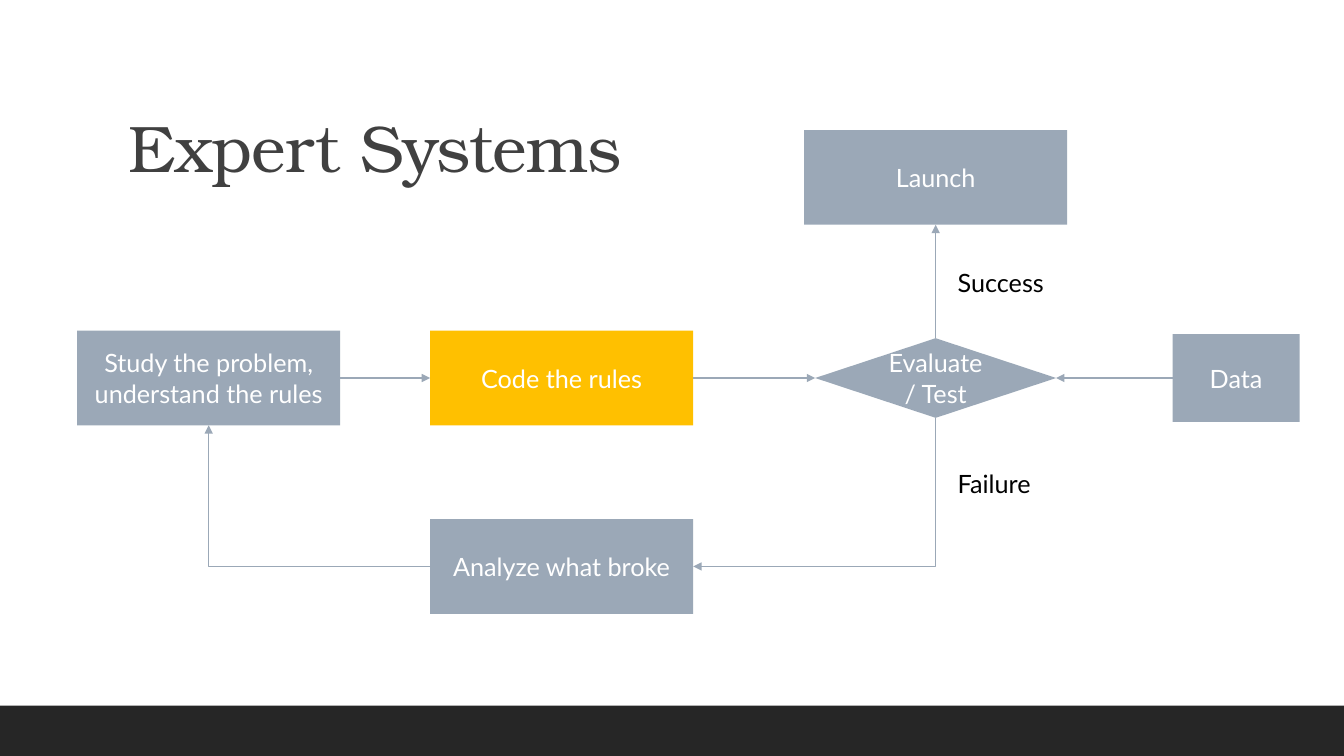
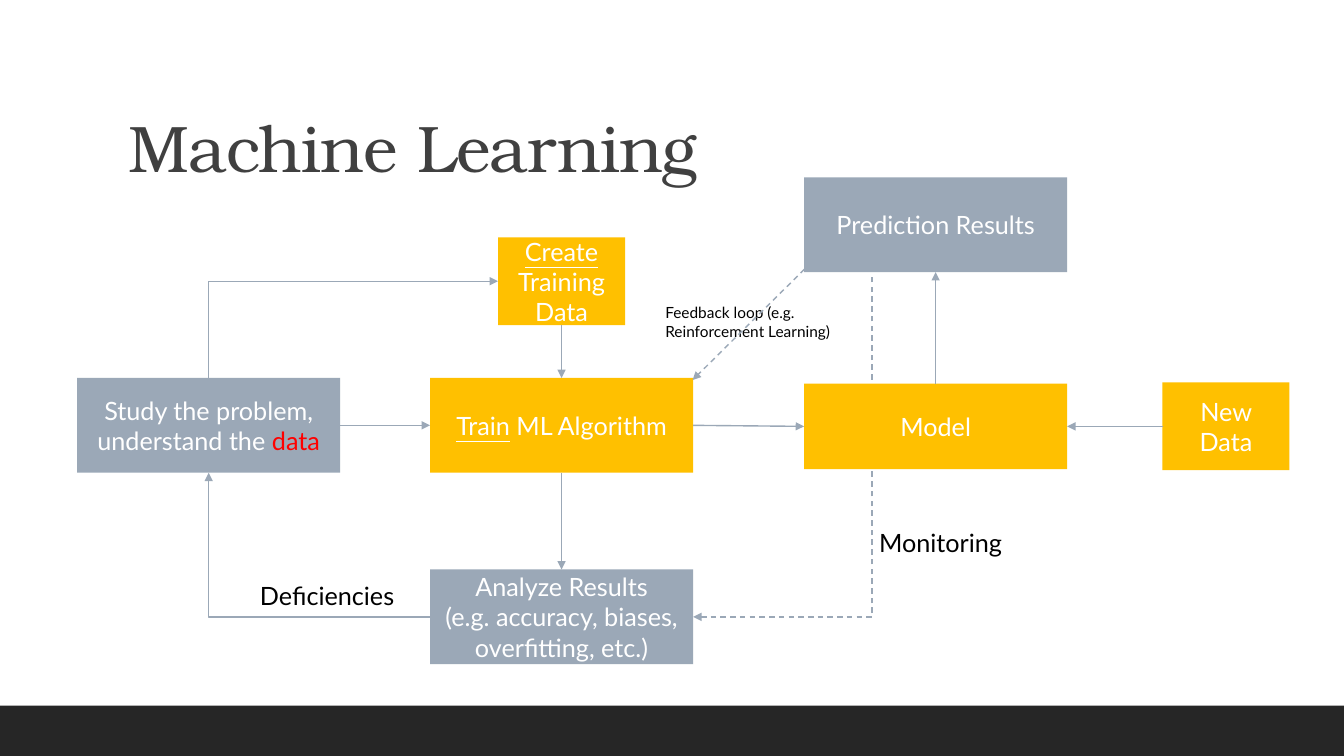
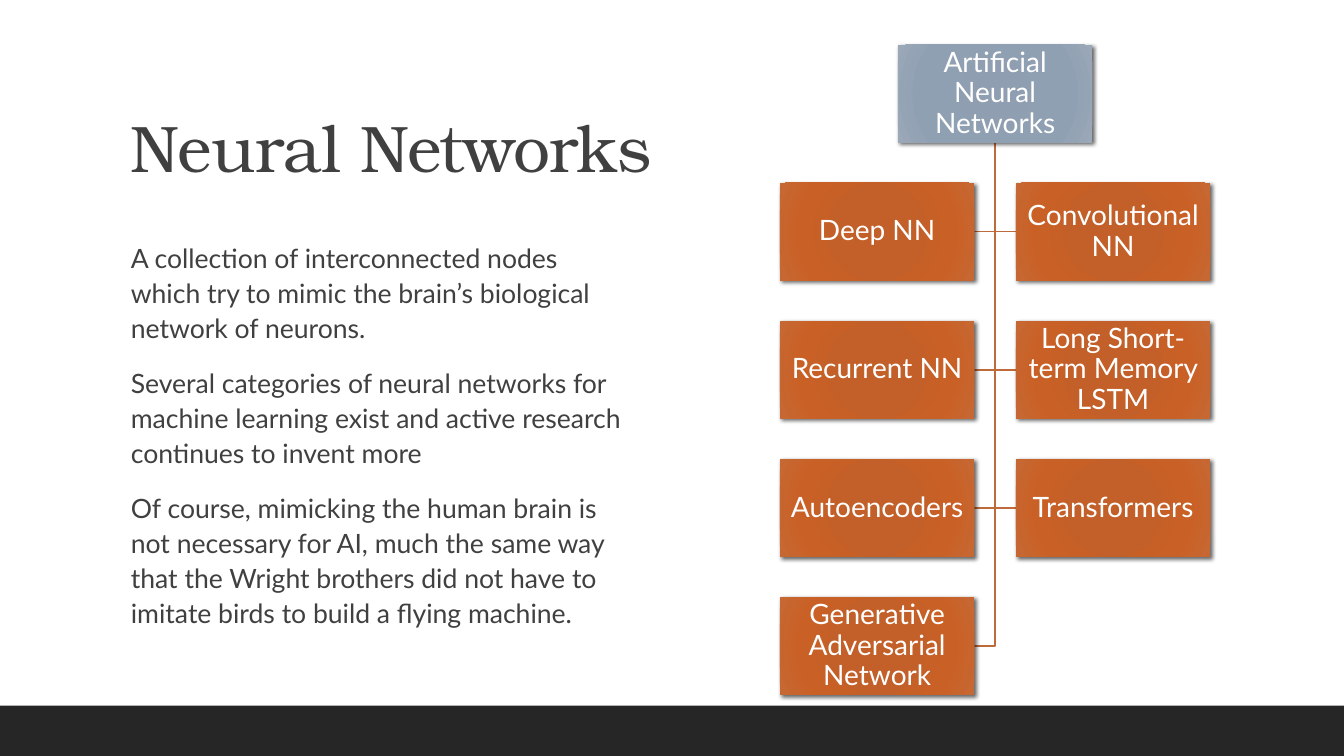
from dataclasses import dataclass

from lxml import etree
from pptx import Presentation
from pptx.dml.color import RGBColor
from pptx.enum.dml import MSO_LINE
from pptx.enum.shapes import MSO_CONNECTOR, MSO_SHAPE
from pptx.enum.text import MSO_ANCHOR, PP_ALIGN
from pptx.oxml.ns import qn
from pptx.util import Inches, Pt

RECT, DIAMOND = MSO_SHAPE.RECTANGLE, MSO_SHAPE.DIAMOND
STRAIGHT, ELBOW = MSO_CONNECTOR.STRAIGHT, MSO_CONNECTOR.ELBOW
DASH = MSO_LINE.DASH
LEFT, CENTER = PP_ALIGN.LEFT, PP_ALIGN.CENTER
TOP, MIDDLE, BOTTOM = MSO_ANCHOR.TOP, MSO_ANCHOR.MIDDLE, MSO_ANCHOR.BOTTOM
NORTH, WEST, SOUTH, EAST = range(4)


@dataclass(frozen=True)
class Theme:
    head: str = "TeX Gyre Bonum"
    body: str = "Lato"
    ink: str = "404040"
    black: str = "000000"
    white: str = "FFFFFF"
    band: str = "262626"
    gray: str = "9BA8B7"
    gold: str = "FFC000"
    red: str = "FF0000"
    rust: str = "BF6A3B"
    root: tuple = ("8D9CAE", "8F9EB0", "90A0B3", "9AA8B8")
    leaf: tuple = ("C45D25", "C35F28", "C96025", "C66834")
    stops: tuple = (0, 34, 70, 100)
    title: int = 47
    tree: int = 20
    prose: int = 19
    text: int = 18
    note: int = 11


T = Theme()
WIDE, HIGH = 13.33, 7.5

# Flow grid: column centres and box sizes
STUDY, BUILD, TEST = 2.07, 5.57, 9.28
BOX, SMALL = (2.61, 0.94), (1.26, 0.87)

# Tree grid
TRUNK, REACH, FIRST, PITCH = 9.87, 1.17, 0.93, 1.37
CARD = (1.93, 0.97)


def rgb(code):
    return RGBColor.from_string(code)


def add(node, tag, **attrs):
    return etree.SubElement(node, qn(tag), {k: str(v) for k, v in attrs.items()})


def write(frame, text, size, color, face=T.body, align=LEFT, anchor=TOP):
    """Fill a frame; a line break parts paragraphs and a bar parts runs."""
    frame.word_wrap = True
    frame.vertical_anchor = anchor
    frame.text = text
    for para in frame.paragraphs:
        para.alignment = align
        first, *rest = para.text.split("|")
        para.text = first
        for part in rest:
            para.add_run().text = part
        for run in para.runs:
            font = run.font
            font.name, font.size = face, Pt(size)
            font.color.rgb = rgb(color)


def label(slide, at, text, size=T.text, color=T.black, **style):
    box = slide.shapes.add_textbox(*map(Inches, at))
    write(box.text_frame, text, size, color, **style)
    return box


def block(slide, at, fill, kind=RECT):
    shape = slide.shapes.add_shape(kind, *map(Inches, at))
    shape.shadow.inherit = False
    shape.fill.solid()
    shape.fill.fore_color.rgb = rgb(fill)
    shape.line.fill.background()
    return shape


def node(slide, x, y, text, fill=T.gray, size=BOX, kind=RECT, points=T.text):
    """Add a captioned box centred on x, y."""
    wide, high = size
    shape = block(slide, (x - wide / 2, y - high / 2, wide, high), fill, kind)
    write(shape.text_frame, text, points, T.white, align=CENTER, anchor=MIDDLE)
    return shape


def spot(end):
    """Place of an end: a (shape, side) pair or a plain (x, y) in inches."""
    shape, side = end
    if isinstance(shape, (int, float)):
        return Inches(shape), Inches(side)
    x, y = shape.left + shape.width // 2, shape.top + shape.height // 2
    return {NORTH: (x, shape.top), WEST: (shape.left, y),
            SOUTH: (x, shape.top + shape.height),
            EAST: (shape.left + shape.width, y)}[side]


def link(slide, start, stop, kind=STRAIGHT, tip="a:tailEnd", dash=False):
    """Add an arrow; an elbow leaves its start sideways."""
    line = slide.shapes.add_connector(kind, *spot(start), *spot(stop))
    for end, join in ((start, line.begin_connect), (stop, line.end_connect)):
        if not isinstance(end[0], (int, float)):
            join(*end)
    line.line.color.rgb = rgb(T.gray)
    line.line.width = Pt(1)
    if dash:
        line.line.dash_style = DASH
    props = line._element.spPr
    if kind == ELBOW:
        props.find(qn("a:prstGeom")).set("prst", "bentConnector2")
    add(props.find(qn("a:ln")), tip, type="triangle")
    add(props, "a:effectLst")


def card(tree, x, row, text, tones):
    """Add a tree box with a round gradient and a soft shadow."""
    shape = node(tree, x, FIRST + row * PITCH, text, size=CARD, points=T.tree)
    frame = shape.text_frame
    frame.margin_left = frame.margin_right = Inches(0.02)
    frame.margin_top = frame.margin_bottom = Inches(0.01)
    frame.paragraphs[0].line_spacing = 0.9
    props = shape._element.spPr
    grad = etree.Element(qn("a:gradFill"), rotWithShape="1")
    stops = add(grad, "a:gsLst")
    for pos, tone in zip(T.stops, tones):
        add(add(stops, "a:gs", pos=pos * 1000), "a:srgbClr", val=tone)
    ring = add(grad, "a:path", path="circle")
    add(ring, "a:fillToRect", **dict.fromkeys("ltrb", 100000))
    props.replace(props.find(qn("a:solidFill")), grad)
    cast = add(props.find(qn("a:effectLst")), "a:outerShdw", blurRad=Pt(3),
               dist=Pt(2), dir=45 * 60000, algn="ctr", rotWithShape=0)
    add(add(cast, "a:srgbClr", val=T.black), "a:alpha", val=60000)


def branch(tree, x, row):
    """Draw a line from the root down the trunk and out to a box's side."""
    top, y = FIRST + CARD[1] / 2, FIRST + row * PITCH
    side = x + CARD[0] / 2 * (1 if x < TRUNK else -1)
    path = tree.shapes.build_freeform(Inches(TRUNK), Inches(top), 1.0)
    path.add_line_segments(
        [(Inches(TRUNK), Inches(y)), (Inches(side), Inches(y))], close=False)
    shape = path.convert_to_shape()
    shape.shadow.inherit = False
    shape.fill.background()
    shape.line.color.rgb = rgb(T.rust)
    shape.line.width = Pt(1)


def start(deck, title, left=1.18):
    """Add a slide with the shared band and title."""
    slide = deck.slides.add_slide(deck.slide_layouts[6])
    block(slide, (0, HIGH - 0.5, WIDE, 0.5), T.band)
    box = label(slide, (left, 0.31, 11, 1.59), title, T.title, T.ink,
                face=T.head, anchor=BOTTOM)
    para = box.text_frame.paragraphs[0]
    para.line_spacing = 0.9
    para.runs[0]._r.get_or_add_rPr().set("spc", "-50")
    return slide


def expert(deck):
    slide = start(deck, "Expert Systems")
    mid = HIGH / 2
    study = node(slide, STUDY, mid, "Study the problem, understand the rules")
    code = node(slide, BUILD, mid, "Code the rules", T.gold)
    test = node(slide, TEST, mid, "Evaluate / Test", size=(2.39, 0.79),
                kind=DIAMOND)
    launch = node(slide, TEST, 1.76, "Launch")
    broke = node(slide, BUILD, 5.62, "Analyze what broke")
    data = node(slide, 12.26, mid, "Data", size=SMALL)
    link(slide, (study, EAST), (code, WEST))
    link(slide, (code, EAST), (test, WEST))
    link(slide, (test, NORTH), (launch, SOUTH))
    link(slide, (data, WEST), (test, EAST))
    link(slide, (broke, WEST), (study, SOUTH), ELBOW)
    link(slide, (broke, EAST), (test, SOUTH), ELBOW, "a:headEnd")
    label(slide, (9.4, 2.6, 1.26, 0.4), "Success")
    label(slide, (9.4, 4.6, 1.26, 0.4), "Failure")


def machine(deck):
    slide = start(deck, "Machine Learning")
    mid, low = 4.22, 4.23
    study = node(slide, STUDY, mid, "Study the problem, understand the |data")
    study.text_frame.paragraphs[0].runs[1].font.color.rgb = rgb(T.red)
    train = node(slide, BUILD, mid, "Train| ML Algorithm", T.gold)
    make = node(slide, BUILD, 2.79, "Create| Training Data", T.gold, SMALL)
    for shape in (train, make):
        shape.text_frame.paragraphs[0].runs[0].font.underline = True
    result = node(slide, TEST, 2.23, "Prediction Results")
    check = node(slide, BUILD, 6.12, "Analyze Results\n"
                 "(e.g. accuracy, biases, overfitting, etc.)")
    link(slide, (check, EAST), (8.65, 2.73), ELBOW, "a:headEnd", dash=True)
    model = node(slide, TEST, low, "Model", T.gold, (2.61, 0.85))
    fresh = node(slide, 12.16, low, "New Data", T.gold, SMALL)
    link(slide, (study, EAST), (train, WEST))
    link(slide, (train, EAST), (model, WEST))
    link(slide, (model, NORTH), (result, SOUTH))
    link(slide, (make, SOUTH), (train, NORTH))
    link(slide, (fresh, WEST), (model, EAST))
    link(slide, (train, SOUTH), (check, NORTH))
    link(slide, (check, WEST), (study, SOUTH), ELBOW)
    link(slide, (make, WEST), (study, NORTH), ELBOW, "a:headEnd")
    label(slide, (6.5, 2.96, 2.03, 0.47),
          "Feedback loop (e.g. Reinforcement Learning)", T.note)
    link(slide, (7.98, 2.67), (6.87, 3.77), dash=True)
    label(slide, (8.62, 5.18, 2.68, 0.4), "Monitoring")
    label(slide, (2.48, 5.71, 1.67, 0.4), "Deficiencies")


def neural(deck):
    slide = start(deck, "Neural Networks", 1.2)
    prose = label(slide, (1.2, 2.32, 5.07, 4.1), "\n".join((
        "A collection of interconnected nodes which try to mimic the brain’s "
        "biological network of neurons.",
        "Several categories of neural networks for machine learning exist "
        "and active research continues to invent more",
        "Of course, mimicking the human brain is not necessary for AI, much "
        "the same way that the Wright brothers did not have to imitate birds "
        "to build a flying machine.")), T.prose, T.ink)
    prose.text_frame.margin_right = 0
    for i, para in enumerate(prose.text_frame.paragraphs):
        para.line_spacing = 1.1
        para.space_before = Pt(12 if i else 0)
        para.space_after = Pt(2)
    kinds = ("Deep NN", "Convolutional NN", "Recurrent NN",
             "Long Short-term Memory LSTM", "Autoencoders", "Transformers",
             "Generative Adversarial Network")
    leaves = [(TRUNK + (REACH if i % 2 else -REACH), i // 2 + 1, kind)
              for i, kind in enumerate(kinds)]
    tree = slide.shapes.add_group_shape()
    for x, row, _ in reversed(leaves):
        branch(tree, x, row)
    card(tree, TRUNK, 0, "Artificial Neural Networks", T.root)
    for x, row, kind in leaves:
        card(tree, x, row, kind, T.leaf)


def main():
    deck = Presentation()
    deck.slide_width, deck.slide_height = Inches(WIDE), Inches(HIGH)
    for build in (expert, machine, neural):
        build(deck)
    deck.save("out.pptx")


if __name__ == "__main__":
    main()
